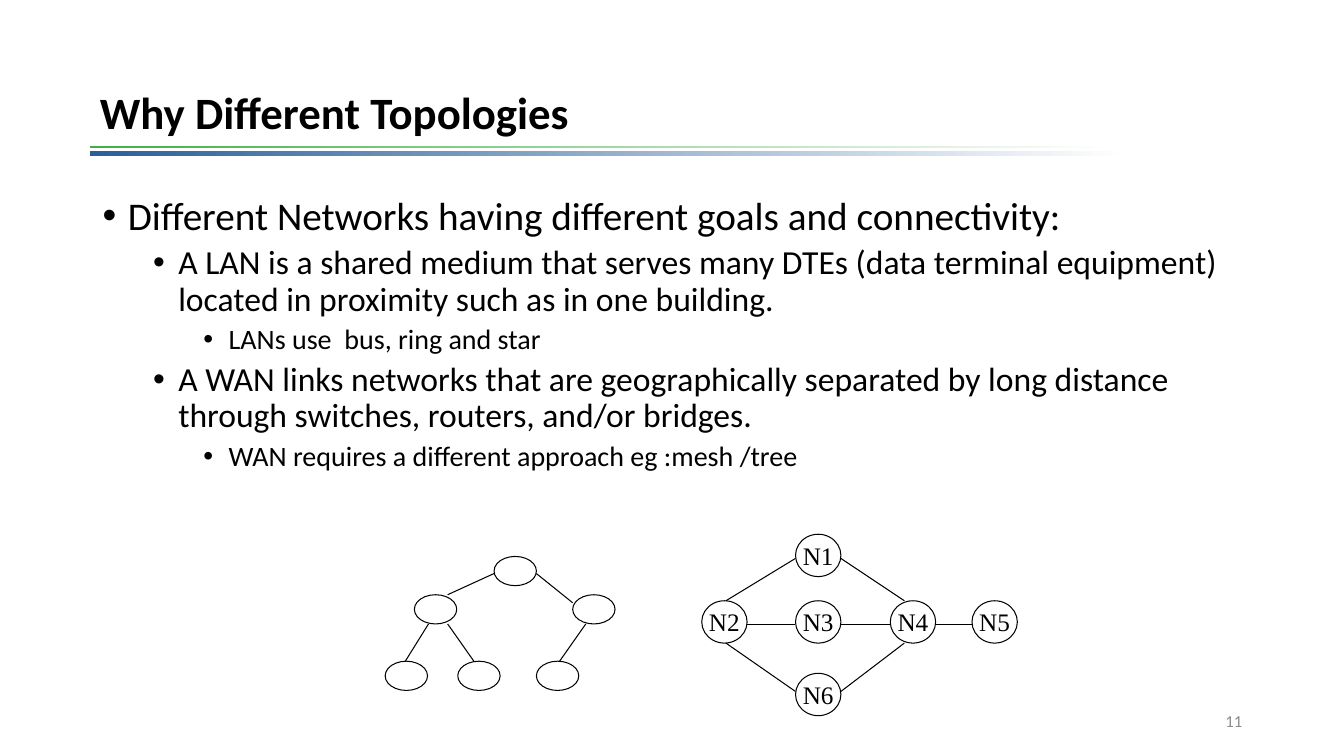
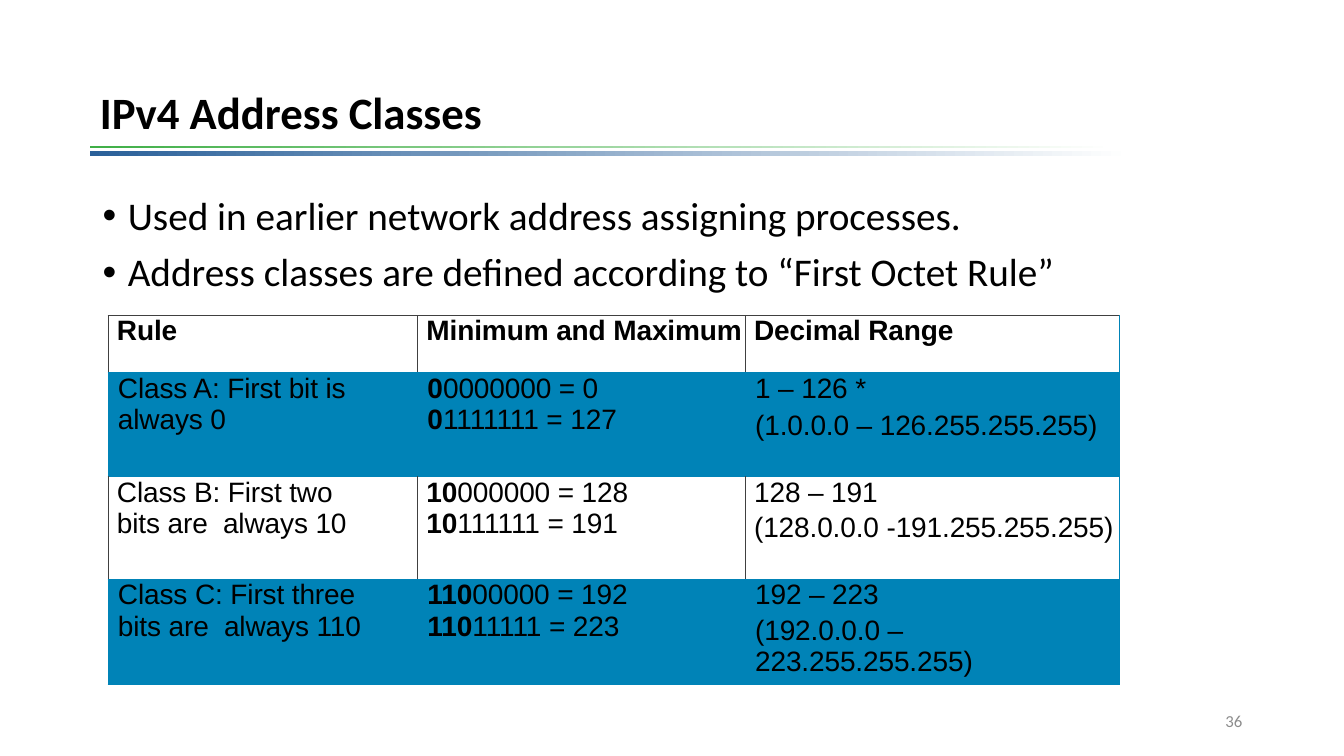
from lxml import etree
from pptx import Presentation
from pptx import util as u
from pptx.dml.color import RGBColor
from pptx.enum import shapes, text
from pptx.oxml.ns import qn

PX = 9144  # 100 px to the inch
BLACK = RGBColor(0x00, 0x00, 0x00)
WHITE = RGBColor(0xFF, 0xFF, 0xFF)
GREY = RGBColor(0x8C, 0x8C, 0x8C)
RULE_BLUE = RGBColor(0x2A, 0x60, 0x99)
RULE_GREEN = RGBColor(0x3F, 0xAF, 0x46)
TABLE_BLUE = RGBColor(0x00, 0x83, 0xB7)
GRID_GREY = RGBColor(0x40, 0x40, 0x40)


def box(*lengths):
    return [u.Emu(length * PX) for length in lengths]


def style(paragraph, size, font="Calibri", color=BLACK, bold=False):
    for run in paragraph.runs:
        run.font.size = u.Pt(size)
        run.font.name = font
        run.font.color.rgb = color
        run.font.bold = bold


presentation = Presentation()
presentation.slide_width, presentation.slide_height = box(1333, 750)

# Title, slide number and bullets (level, text) of each slide
contents = [
    ("Why Different Topologies", "11", [
        (0, "Different Networks having different goals and connectivity:"),
        (1, "A LAN is a shared medium that serves many DTEs (data terminal equipment) "
            "located in proximity such as in one building."),
        (2, "LANs use  bus, ring and star"),
        (1, "A WAN links networks that are geographically separated by long distance "
            "through switches, routers, and/or bridges."),
        (2, "WAN requires a different approach eg :mesh /tree"),
    ]),
    ("IPv4 Address Classes", "36", [
        (0, "Used in earlier network address assigning processes."),
        (0, "Address classes are defined according to “First Octet Rule”"),
    ]),
]
rules = [((89, 150, 1032, 5), RULE_BLUE), ((89, 145, 1016, 2), RULE_GREEN)]

for title_text, number, bullets in contents:
    slide = presentation.slides.add_slide(presentation.slide_layouts[5])

    # Fading rules under the title
    for place, color in rules:
        rule = slide.shapes.add_shape(shapes.MSO_SHAPE.RECTANGLE, *box(*place))
        rule.shadow.inherit = False
        rule.line.fill.background()
        rule.fill.gradient()
        rule.fill.gradient_angle = 0
        for stop, stop_color in zip(rule.fill.gradient_stops, (color, WHITE)):
            stop.color.rgb = stop_color

    # Title
    title = slide.shapes.title
    title.left, title.top, title.width, title.height = box(89, 57, 1150, 114)
    title.text_frame.text = title_text
    title.text_frame.auto_size = text.MSO_AUTO_SIZE.NONE
    title.text_frame.vertical_anchor = text.MSO_ANCHOR.MIDDLE
    paragraph = title.text_frame.paragraphs[0]
    paragraph.alignment = text.PP_ALIGN.LEFT
    paragraph.line_spacing = 0.9
    style(paragraph, 32, bold=True)

    # Bullets
    body = slide.shapes.add_textbox(*box(92, 190, 1150, 476)).text_frame
    body.word_wrap = True
    for index, (level, bullet) in enumerate(bullets):
        paragraph = body.add_paragraph() if index else body.paragraphs[0]
        paragraph.text = bullet
        paragraph.level = level
        paragraph.line_spacing = 0.9
        paragraph.space_before = u.Pt(5 if level else 10)
        style(paragraph, 28 - 4 * level)
        properties = paragraph._p.get_or_add_pPr()
        properties.set("marL", str((25 + 50 * level) * PX))
        properties.set("indent", str(-25 * PX))
        etree.SubElement(properties, qn("a:buFont")).set("typeface", "Arial")
        etree.SubElement(properties, qn("a:buChar")).set("char", "•")

    # Slide number
    footer = slide.shapes.add_textbox(*box(942, 695, 300, 40)).text_frame
    footer.word_wrap = True
    footer.vertical_anchor = text.MSO_ANCHOR.MIDDLE
    footer.text = number
    footer.paragraphs[0].alignment = text.PP_ALIGN.RIGHT
    style(footer.paragraphs[0], 12, color=GREY)

topology_slide, class_slide = presentation.slides

# Mesh and tree: node size, nodes (left, top, label), links (from, to)
mesh = ((45, 42), [
    (789, 530, "N1"), (696, 596, "N2"), (789, 596, "N3"),
    (883, 596, "N4"), (789, 668, "N6"), (964, 596, "N5"),
], [
    (720, 596, 789, 554), (741, 620, 789, 620), (720, 638, 789, 686),
    (834, 554, 897, 596), (834, 620, 883, 620), (834, 686, 897, 638),
    (928, 620, 964, 620),
])
tree = ((42, 29), [
    (490, 552, ""), (411, 590, ""), (568, 590, ""),
    (382, 656, ""), (454, 656, ""), (532, 656, ""),
], [
    (490, 569, 444, 590), (425, 619, 402, 656), (444, 619, 470, 656),
    (532, 569, 568, 598), (581, 619, 555, 656),
])
for size, nodes, links in (mesh, tree):
    for left, top, label in nodes:
        node = topology_slide.shapes.add_shape(
            shapes.MSO_SHAPE.OVAL, *box(left, top, *size))
        node.shadow.inherit = False
        node.fill.solid()
        node.fill.fore_color.rgb = WHITE
        node.line.color.rgb = BLACK
        node.line.width = u.Pt(0.75)
        if label:
            frame = node.text_frame
            frame.text = label
            frame.word_wrap = False
            frame.vertical_anchor = text.MSO_ANCHOR.MIDDLE
            frame.margin_left = frame.margin_right = 0
            frame.margin_top = frame.margin_bottom = 0
            frame.paragraphs[0].alignment = text.PP_ALIGN.CENTER
            style(frame.paragraphs[0], 18, "Times New Roman")
    for ends in links:
        link = topology_slide.shapes.add_connector(
            shapes.MSO_CONNECTOR.STRAIGHT, *box(*ends))
        link.line.color.rgb = BLACK
        link.line.width = u.Pt(0.75)
        etree.SubElement(link._element.spPr, qn("a:effectLst"))

# Address classes: rule, leading bits, decimal range
classes = [
    ("Class A: First bit is always 0", "0",
     ["1 – 126 *", "(1.0.0.0 – 126.255.255.255)"]),
    ("Class B: First two bits are  always 10", "10",
     ["128 – 191", "(128.0.0.0 -191.255.255.255)"]),
    ("Class C: First three bits are  always 110", "110",
     ["192 – 223", "(192.0.0.0 –223.255.255.255)"]),
]
# Each cell is a list of paragraphs (bold part, plain part)
rows = [[[("Rule", "")], [("Minimum and Maximum", "")], [("Decimal Range", "")]]]
for rule_text, bits, ranges in classes:
    octets = [bits.ljust(8, fill) for fill in "01"]
    rows.append([
        [("", rule_text)],
        [(bits, f"{octet[len(bits):]} = {int(octet, 2)}") for octet in octets],
        [("", line) for line in ranges],
    ])

widths = [307, 325, 371]
heights = [57, 103, 102, 103]
gaps = [2.6, 4.2, 2.7, 3.2]
table = class_slide.shapes.add_table(
    len(rows), len(widths), *box(107, 313, sum(widths), sum(heights))).table
table.first_row = table.horz_banding = False
for column, width in zip(table.columns, widths):
    column.width = u.Emu(width * PX)

for row_index, row in enumerate(rows):
    table.rows[row_index].height = u.Emu(heights[row_index] * PX)
    filled = row_index % 2 == 1
    for column_index, lines in enumerate(row):
        cell = table.cell(row_index, column_index)
        cell.margin_left = u.Emu((10 if filled else 9) * PX)
        cell.margin_right = u.Emu((0 if column_index else 49) * PX)
        cell.margin_top = cell.margin_bottom = 0

        # Borders: grey inside white rows, blue elsewhere
        upright = TABLE_BLUE if filled else GRID_GREY
        last = column_index == len(widths) - 1
        borders = [
            ("a:lnL", upright, 0.5),
            ("a:lnR", TABLE_BLUE if last else upright, 1 if last else 0.5),
            ("a:lnT", TABLE_BLUE if row_index else GRID_GREY,
             (0.5, 2, 1, 1)[row_index]),
            ("a:lnB", TABLE_BLUE, 1 if row_index else 2),
        ]
        for tag, color, points in borders:
            border = etree.SubElement(cell._tc.get_or_add_tcPr(), qn(tag))
            border.set("w", str(u.Pt(points)))
            solid = etree.SubElement(border, qn("a:solidFill"))
            etree.SubElement(solid, qn("a:srgbClr")).set("val", str(color))
        cell.fill.solid()
        cell.fill.fore_color.rgb = TABLE_BLUE if filled else WHITE

        # Text
        frame = cell.text_frame
        for index, parts in enumerate(lines):
            paragraph = frame.add_paragraph() if index else frame.paragraphs[0]
            if index == 0 or column_index == 2:
                paragraph.space_before = u.Pt(gaps[row_index])
            for part in filter(None, parts):
                paragraph.add_run().text = part
            style(paragraph, 20, "Arial")
            for run in paragraph.runs:
                run._r.get_or_add_rPr().set("spc", "-10")
            if parts[0]:
                paragraph.runs[0].font.bold = True

presentation.save("out.pptx")
